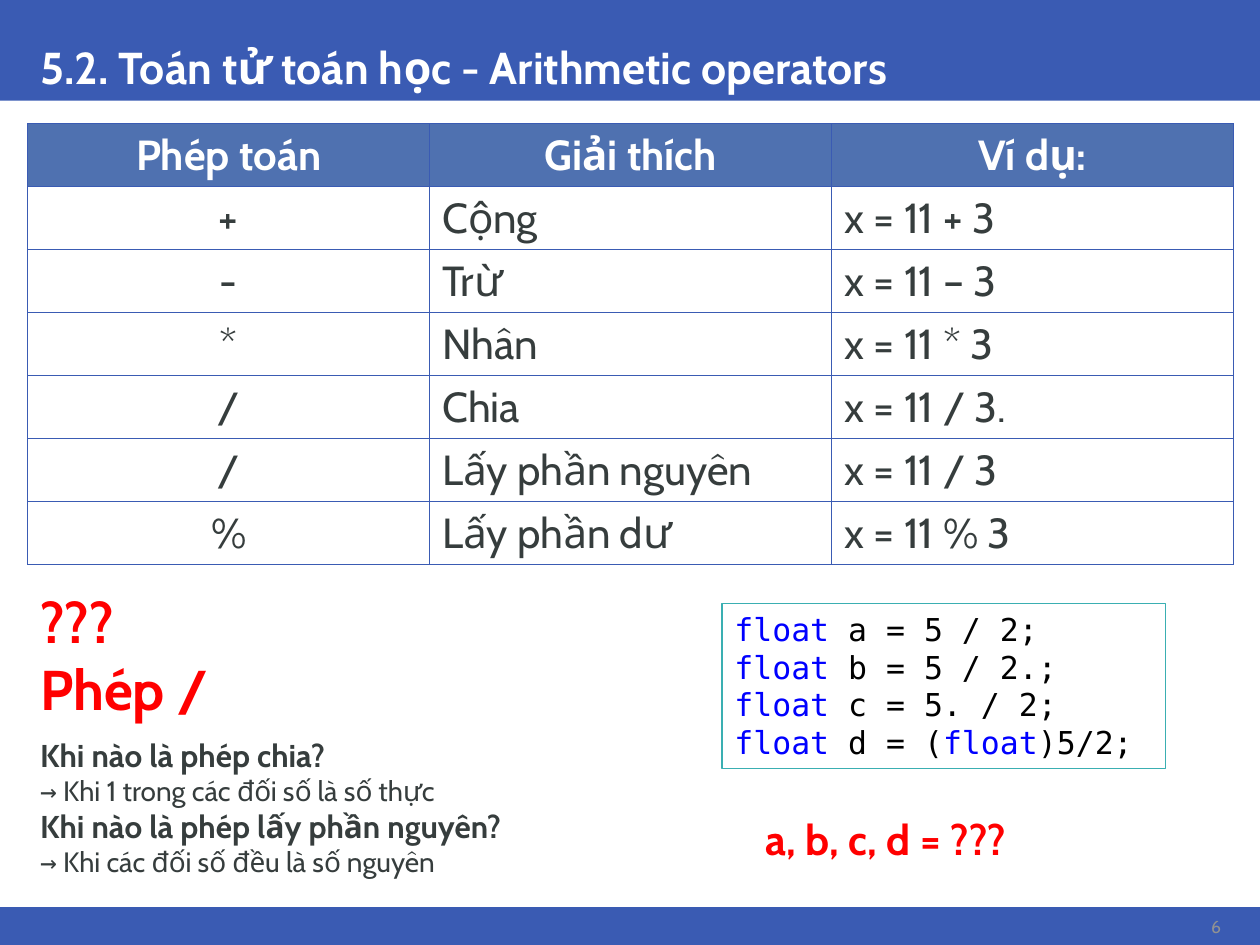
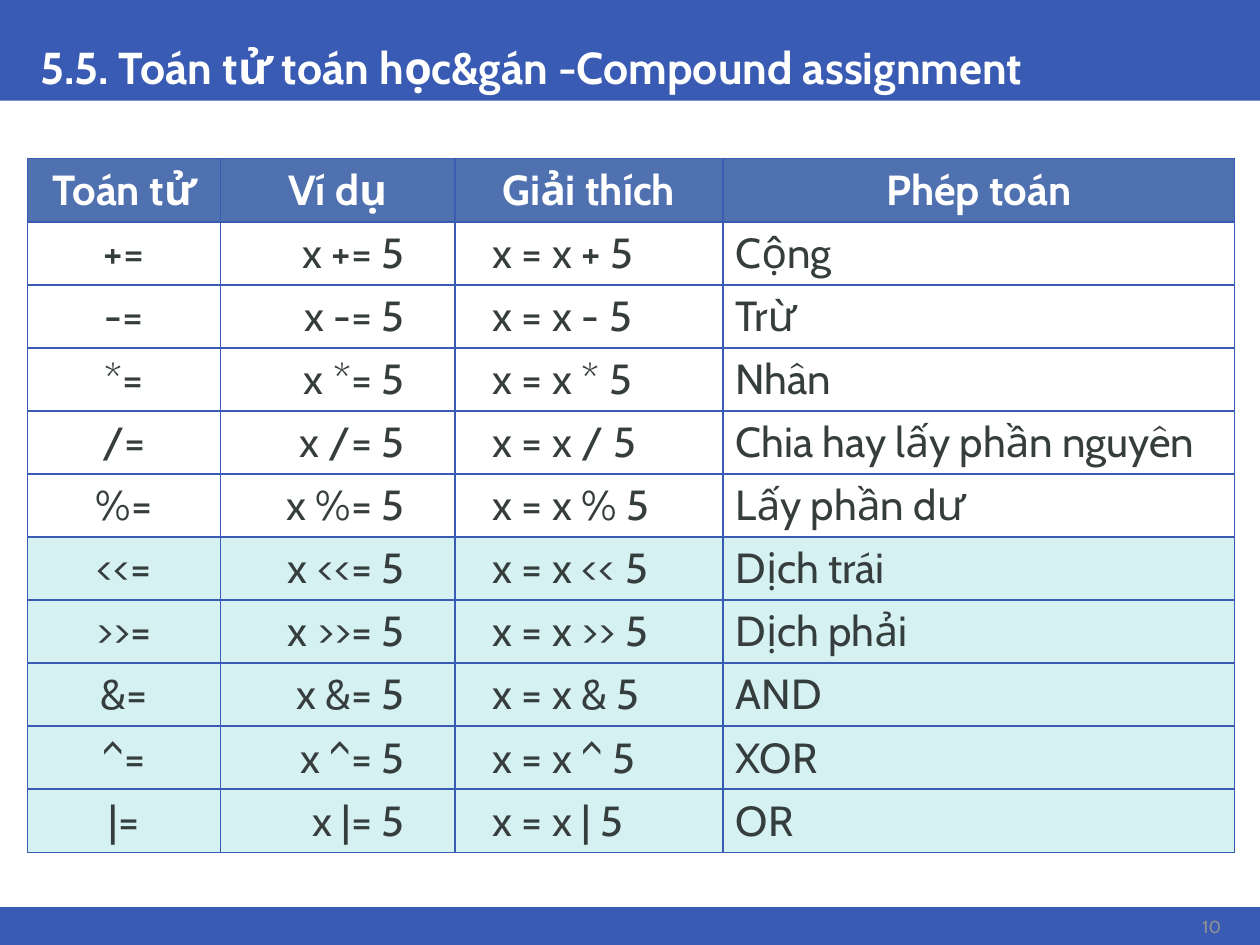
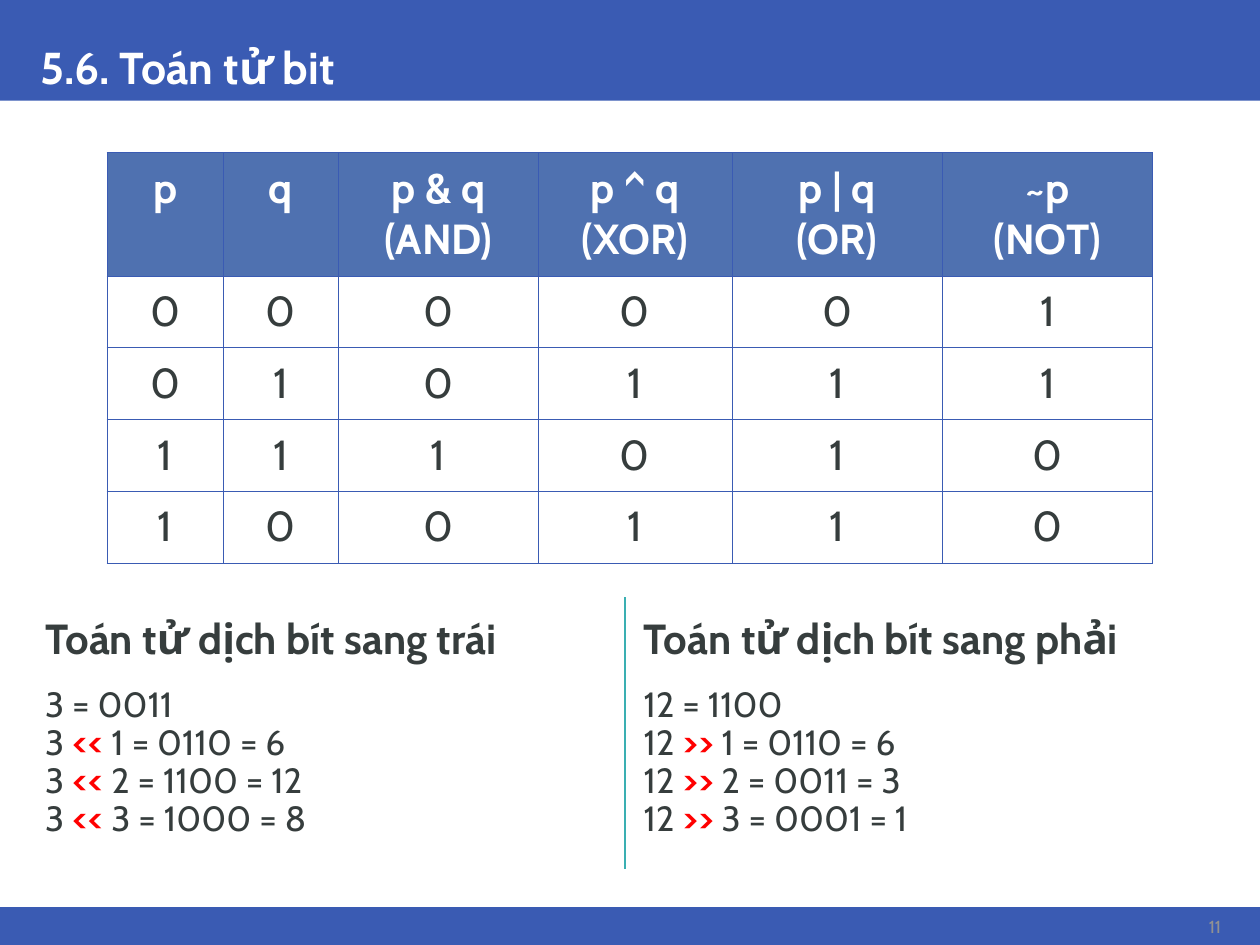
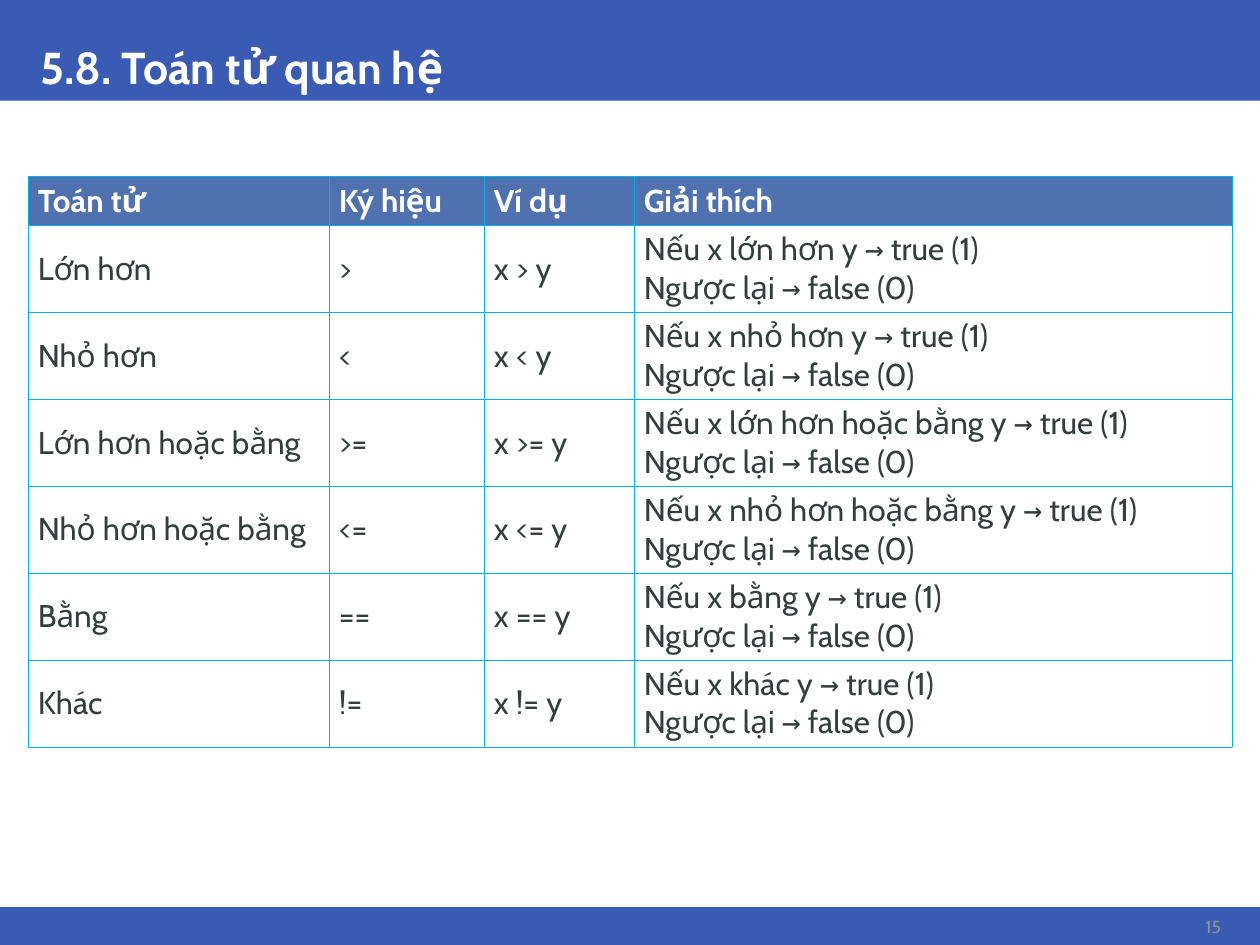
from dataclasses import dataclass

from lxml.etree import SubElement
from pptx import Presentation
from pptx.dml.color import RGBColor
from pptx.enum.shapes import MSO_CONNECTOR, MSO_SHAPE
from pptx.enum.text import MSO_ANCHOR, PP_ALIGN
from pptx.oxml.ns import qn
from pptx.util import Inches, Pt


@dataclass(frozen=True)
class Theme:
    blue: str = "3A5BB3"
    head: str = "4F71B0"
    teal: str = "3AAFB2"
    pale: str = "D6F1F2"
    sky: str = "00B0F0"
    ink: str = "363D3D"
    gray: str = "919292"
    red: str = "FF0000"
    key: str = "0000FF"
    black: str = "000000"
    white: str = "FFFFFF"
    font: str = "Cabin"
    mono: str = "DejaVu Sans Mono"
    title: float = 25.5
    huge: int = 32
    large: int = 24
    mid: int = 20
    text: int = 18
    small: int = 16
    page: int = 10


T = Theme()
rgb = RGBColor.from_string
LEFT, MID, RIGHT = PP_ALIGN.LEFT, PP_ALIGN.CENTER, PP_ALIGN.RIGHT


def write(frame, lines, size, color, bold=False, align=LEFT, font=T.font,
          mark="→", tint=T.ink, heavy=False, face=T.mono):
    """Fill a frame; each mark becomes a run with its own tint and face."""
    for i, line in enumerate(lines):
        para = frame.add_paragraph() if i else frame.paragraphs[0]
        para.alignment = align
        para.font.name, para.font.size = font, Pt(size)
        para.font.bold, para.font.color.rgb = bold, rgb(color)
        for j, row in enumerate(line.split("\n")):
            if j:
                para.add_line_break()
            for k, part in enumerate(row.split(mark)):
                if k:
                    run = para.add_run()
                    run.text = mark
                    run.font.color.rgb, run.font.bold = rgb(tint), heavy
                    run.font.name = face
                    # Symbols may be set in the East Asian or symbol face
                    for kind in ("ea", "cs", "sym"):
                        SubElement(run._r.get_or_add_rPr(), qn("a:" + kind),
                                   typeface=face)
                if part:
                    para.add_run().text = part


def grid(slide, left, top, cols, highs, rows, aligns, size=T.large,
         edge=T.blue, width=0.5, pad=(0.1, 0.05), anchor=MSO_ANCHOR.TOP):
    """Add a table with a header row, even insets and ruled cells."""
    table = slide.shapes.add_table(
        len(rows), len(cols), Inches(left), Inches(top),
        Inches(sum(cols)), Inches(sum(highs))).table
    table.first_row = table.horz_banding = False
    for col, wide in zip(table.columns, cols):
        col.width = Inches(wide)
    for i, (line, values) in enumerate(zip(table.rows, rows)):
        line.height = Inches(highs[i])
        for cell, value, align in zip(line.cells, values, aligns[min(i, 1)]):
            cell.margin_left = cell.margin_right = Inches(pad[0])
            cell.margin_top = cell.margin_bottom = Inches(pad[1])
            cell.vertical_anchor = anchor
            write(cell.text_frame, [str(value)], size,
                  T.ink if i else T.white, not i, align)
            props = cell._tc.get_or_add_tcPr()
            for side in ("lnL", "lnR", "lnT", "lnB"):
                rule = SubElement(props, qn("a:" + side), w=str(Pt(width)))
                paint = SubElement(rule, qn("a:solidFill"))
                SubElement(paint, qn("a:srgbClr"), val=edge)
            cell.fill.solid()
            cell.fill.fore_color.rgb = rgb(T.white if i else T.head)
    return table


deck = Presentation()
deck.slide_width, deck.slide_height = Inches(10), Inches(7.5)

# Shared bands, titles and page numbers
pages = [
    ("5.2. Toán tử toán học - Arithmetic operators", 6),
    ("5.5. Toán tử toán học&gán -Compound assignment", 10),
    ("5.6. Toán tử bit", 11),
    ("5.8. Toán tử quan hệ", 15),
]
slides = []
for title, number in pages:
    slide = deck.slides.add_slide(deck.slide_layouts[6])
    slides.append(slide)
    for top, high in ((0, 0.8), (7.2, 0.3)):
        band = slide.shapes.add_shape(
            MSO_SHAPE.RECTANGLE, 0, Inches(top), Inches(10), Inches(high))
        band.shadow.inherit = False
        band.fill.solid()
        band.fill.fore_color.rgb = rgb(T.blue)
        band.line.fill.background()
    frame = slide.shapes.add_textbox(
        Inches(0.22), 0, Inches(9.57), Inches(0.8)).text_frame
    frame.word_wrap, frame.vertical_anchor = True, MSO_ANCHOR.BOTTOM
    write(frame, [title], T.title, T.white, True)
    frame.paragraphs[0].line_spacing = 0.9
    frame = slide.shapes.add_textbox(
        Inches(9.26), Inches(7.22), Inches(0.53), Inches(0.26)).text_frame
    frame.word_wrap, frame.vertical_anchor = True, MSO_ANCHOR.MIDDLE
    write(frame, [str(number)], T.page, T.gray, align=RIGHT)
math, assign, bits, compare = slides

# Arithmetic operators
rows = [
    ("Phép toán", "Giải thích", "Ví dụ:"),
    ("+", "Cộng", "x = 11 + 3"),
    ("-", "Trừ", "x = 11 – 3"),
    ("*", "Nhân", "x = 11 * 3"),
    ("/", "Chia", "x = 11 / 3."),
    ("/", "Lấy phần nguyên", "x = 11 / 3"),
    ("%", "Lấy phần dư", "x = 11 % 3"),
]
grid(math, 0.22, 0.98, [3.19] * 3, [0.5] * 7, rows,
     ([MID] * 3, (MID, LEFT, LEFT)))

# Red prompts
for box, lines, size in (
        ((0.22, 4.61, 1.72, 1.18), ["???", "Phép /"], T.huge),
        ((5.98, 6.41, 2.66, 0.5), ["a, b, c, d = ???"], T.large)):
    frame = math.shapes.add_textbox(*map(Inches, box)).text_frame
    write(frame, lines, size, T.red, True)

# Questions and answers about division
frame = math.shapes.add_textbox(
    Inches(0.22), Inches(5.79), Inches(4.47), Inches(1.25)).text_frame
write(frame, [
    "Khi nào là phép chia?",
    "→ Khi 1 trong các đối số là số thực",
    "Khi nào là phép lấy phần nguyên?",
    "→ Khi các đối số đều là số nguyên",
], T.small, T.ink)
for para in frame.paragraphs[::2]:
    para.font.size, para.font.bold = Pt(T.text), True

# Code box
code = math.shapes.add_shape(
    MSO_SHAPE.RECTANGLE, Inches(5.73), Inches(4.79), Inches(3.52), Inches(1.31))
code.shadow.inherit = False
code.fill.solid()
code.fill.fore_color.rgb = rgb(T.white)
code.line.color.rgb, code.line.width = rgb(T.teal), Pt(1)
code.text_frame.word_wrap = True
code.text_frame.vertical_anchor = MSO_ANCHOR.TOP
write(code.text_frame, [
    "float a = 5 / 2;",
    "float b = 5 / 2.;",
    "float c = 5. / 2;",
    "float d = (float)5/2;",
], T.text, T.black, font=T.mono, mark="float", tint=T.key)

# Compound assignment
signs = [
    ("+", "Cộng"), ("-", "Trừ"), ("*", "Nhân"),
    ("/", "Chia hay lấy phần nguyên"), ("%", "Lấy phần dư"),
    ("<<", "Dịch trái"), (">>", "Dịch phải"),
    ("&", "AND"), ("^", "XOR"), ("|", "OR"),
]
rows = [("Toán tử", "Ví dụ", "Giải thích", "Phép toán")]
rows += [(f"{s}=", f"x {s}= 5", f"x = x {s} 5", name) for s, name in signs]
table = grid(assign, 0.22, 1.26, (1.53, 1.86, 2.13, 4.06), [0.5] * 11, rows,
             ([MID] * 4, (MID, RIGHT, LEFT, LEFT)), width=1)
for i in range(1, len(rows)):
    table.cell(i, 1).margin_right = Inches(0.4)
    table.cell(i, 2).margin_left = Inches(0.3)
    if i > 5:
        for cell in table.rows[i].cells:
            cell.fill.fore_color.rgb = rgb(T.pale)

# Truth table
rows = [("p", "q", "p & q\n(AND)", "p ^ q\n(XOR)", "p | q\n(OR)", "~p\n(NOT)")]
rows += [(p, q, p & q, p ^ q, p | q, 1 - p)
         for p, q in ((0, 0), (0, 1), (1, 1), (1, 0))]
grid(bits, 0.85, 1.21, (0.92, 0.92, 1.58, 1.54, 1.67, 1.67),
     [0.98] + [0.57] * 4, rows, ([MID] * 6,) * 2, pad=(0.08, 0.08))

# Bit shifts, left and right
shifts = [
    (0.22, 4.55, "<<", "Toán tử dịch bít sang trái",
     "3 = 0011\n3 << 1 = 0110 = 6\n3 << 2 = 1100 = 12\n3 << 3 = 1000 = 8"),
    (4.97, 4.81, ">>", "Toán tử dịch bít sang phải",
     "12 = 1100\n12 >> 1 = 0110 = 6\n12 >> 2 = 0011 = 3\n12 >> 3 = 0001 = 1"),
]
for left, wide, sign, head, body in shifts:
    frame = bits.shapes.add_textbox(
        Inches(left), Inches(4.86), Inches(wide), Inches(2.16)).text_frame
    frame.word_wrap = True
    write(frame, [head, body], T.mid, T.ink, mark=sign, tint=T.red,
          heavy=True, face=T.font)
    first = frame.paragraphs[0].font
    first.size, first.bold = Pt(T.large), True
    for para in frame.paragraphs:
        para.line_spacing, para.space_before = 0.9, Pt(13.5)
        para._p.get_or_add_pPr().set("marL", str(Inches(0.04)))

# Divider
line = bits.shapes.add_connector(
    MSO_CONNECTOR.STRAIGHT, Inches(4.96), Inches(4.74), Inches(4.96), Inches(6.9))
line.line.color.rgb, line.line.width = rgb(T.teal), Pt(1.5)
SubElement(line._element.spPr, qn("a:effectLst"))

# Relational operators
tests = [
    ("Lớn hơn", ">"), ("Nhỏ hơn", "<"),
    ("Lớn hơn hoặc bằng", ">="), ("Nhỏ hơn hoặc bằng", "<="),
    ("Bằng", "=="), ("Khác", "!="),
]
rows = [("Toán tử", "Ký hiệu", "Ví dụ", "Giải thích")]
rows += [(name, s, f"x {s} y",
          f"Nếu x {name.lower()} y → true (1)\nNgược lại → false (0)")
         for name, s in tests]
grid(compare, 0.22, 1.4, (2.39, 1.23, 1.19, 4.75), [0.39] + [0.69] * 6, rows,
     ([LEFT] * 4,) * 2, size=T.text, edge=T.sky, width=0.25,
     pad=(0.08, 0.04), anchor=MSO_ANCHOR.MIDDLE)

deck.save("out.pptx")
